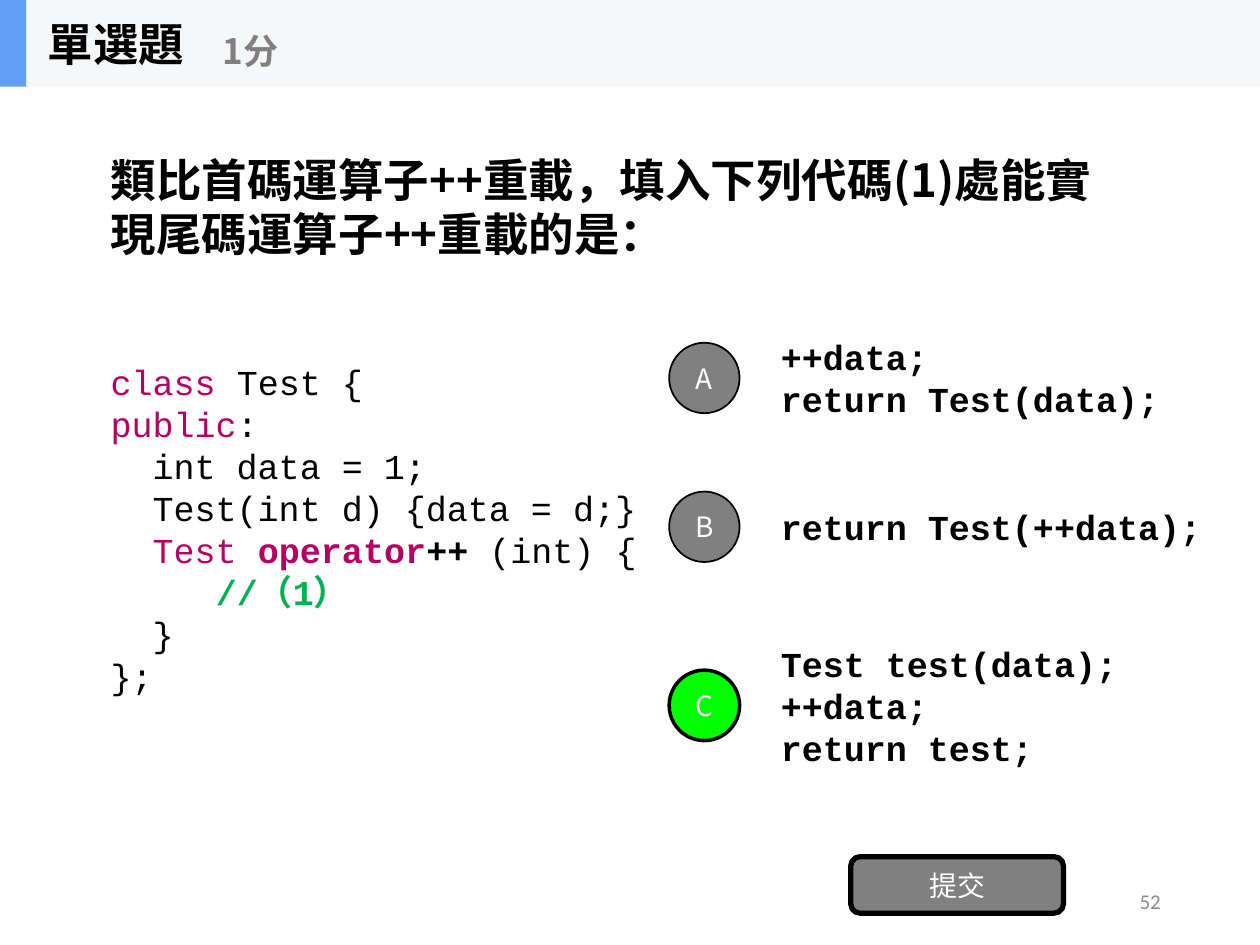
"""Build a single-choice quiz slide about overloading the postfix ++ operator."""
import pptx
import pptx.util
import pptx.dml.color
import pptx.enum.shapes
import pptx.enum.text
import pptx.oxml.ns
import lxml.etree

Cm, Pt = pptx.util.Cm, pptx.util.Pt
SHAPES = pptx.enum.shapes.MSO_SHAPE
ALIGN = pptx.enum.text.PP_ALIGN
ANCHOR = pptx.enum.text.MSO_ANCHOR

COLORS = {
    "black": "000000", "white": "FFFFFF", "gray": "808080", "number": "8C8C8C",
    "keyword": "B40062", "comment": "00B050", "correct": "00FF00",
    "bar": "F6F7F8", "accent": "639EF4",
}
SANS, MONO = "Noto Sans CJK SC", "Courier New"

QUESTION = "類比首碼運算子++重載，填入下列代碼(1)處能實現尾碼運算子++重載的是："
CODE = [
    [("class", "keyword", False), (" Test {", "black", False)],
    [("public", "keyword", False), (":", "black", False)],
    [("  int data = 1;", "black", False)],
    [("  Test(int d) {data = d;}", "black", False)],
    [("  Test ", "keyword", False), ("operator", "keyword", True),
     ("++ ", "black", True), ("(int) {", "black", False)],
    [("     ", "black", False), ("//（1）", "comment", True)],
    [("  }", "black", False)],
    [("};", "black", False)],
]
OPTIONS = [
    ("A", 6.91, "gray", 1, ["++data;", "return Test(data);"]),
    ("B", 9.91, "gray", 1, ["return Test(++data);"]),
    ("C", 13.51, "correct", 2, ["Test test(data);", "++data;", "return test;"]),
]
HEADINGS = [
    ("單選題", (0.71, 0, 5.28, 1.75), 26, "black"),
    ("1分", (4.24, 0.3, 6.35, 1.42), 20, "gray"),
]
CIRCLE_LEFT, CIRCLE_SIZE = 13.49, 1.42
ANSWER_LEFT, ANSWER_WIDTH, ANSWER_HEIGHT = 15.49, 9.22, 1.78


def rgb(name):
    return pptx.dml.color.RGBColor.from_string(COLORS[name])


def style(font, face, size, color=None, bold=False):
    font.name, font.size, font.bold = face, Pt(size), bold
    if color:
        font.color.rgb = rgb(color)
    latin = font._element.find(pptx.oxml.ns.qn("a:latin")) if hasattr(font, "_element") else font._rPr.find(pptx.oxml.ns.qn("a:latin"))
    east_asian = lxml.etree.Element(pptx.oxml.ns.qn("a:ea"), typeface=SANS)
    latin.addnext(east_asian)


def fill_text(shape, lines, face, size, color, bold=False, align=ALIGN.LEFT, spacing=None):
    frame = shape.text_frame
    frame.word_wrap = True
    frame.vertical_anchor = ANCHOR.MIDDLE
    frame.text = "\n".join(lines)
    for paragraph in frame.paragraphs:
        paragraph.alignment = align
        if spacing:
            paragraph.line_spacing = Pt(spacing)
        style(paragraph.font, face, size, color, bold)


def add_text(slide, box, lines, *text_style, **options):
    shape = slide.shapes.add_textbox(*map(Cm, box))
    fill_text(shape, lines, *text_style, **options)
    return shape


def add_block(slide, kind, box, fill, line_width=0, label=None):
    shape = slide.shapes.add_shape(kind, *map(Cm, box))
    shape.shadow.inherit = False
    shape.fill.solid()
    shape.fill.fore_color.rgb = rgb(fill)
    if line_width:
        shape.line.color.rgb = rgb("black")
        shape.line.width = Pt(line_width)
    else:
        shape.line.fill.background()
    if label:
        fill_text(shape, [label], SANS, 16, "white", align=ALIGN.CENTER)
        frame = shape.text_frame
        frame.margin_left = frame.margin_right = frame.margin_top = frame.margin_bottom = 0


def add_question(slide):
    box = add_text(slide, (1.98, 0.69, 20.32, 16.64), [QUESTION], SANS, 26, "black", True, spacing=31)
    frame = box.text_frame
    frame.vertical_anchor = ANCHOR.TOP
    frame.margin_top = Cm(2.38)
    for index, line in enumerate(CODE):
        paragraph = frame.add_paragraph()
        paragraph.line_spacing = Pt(24)
        paragraph.space_before = Pt(0 if index else 57)
        for text, color, bold in line:
            run = paragraph.add_run()
            run.text = text
            style(run.font, MONO, 20, color, bold)


def main():
    presentation = pptx.Presentation()
    presentation.slide_width, presentation.slide_height = Cm(25.4), Cm(19.05)
    slide = presentation.slides.add_slide(presentation.slide_layouts[6])

    add_text(slide, (17.93, 17.65, 5.72, 1.02), ["52"], "Calibri", 12, "number", align=ALIGN.RIGHT)
    add_question(slide)
    for letter, top, fill, line_width, answer in OPTIONS:
        add_text(slide, (ANSWER_LEFT, top - 0.18, ANSWER_WIDTH, ANSWER_HEIGHT), answer,
                 MONO, 20, "black", True, spacing=24)
        add_block(slide, SHAPES.OVAL, (CIRCLE_LEFT, top, CIRCLE_SIZE, CIRCLE_SIZE),
                  fill, line_width, letter)
    add_block(slide, SHAPES.ROUNDED_RECTANGLE, (17.15, 17.27, 4.29, 1.14), "gray", 3, "提交")

    add_block(slide, SHAPES.RECTANGLE, (0, 0, 25.4, 1.75), "bar")
    add_block(slide, SHAPES.RECTANGLE, (0, 0, 0.53, 1.75), "accent")
    for text, box, size, color in HEADINGS:
        add_text(slide, box, [text], SANS, size, color, True)
    presentation.save("out.pptx")


if __name__ == "__main__":
    main()
